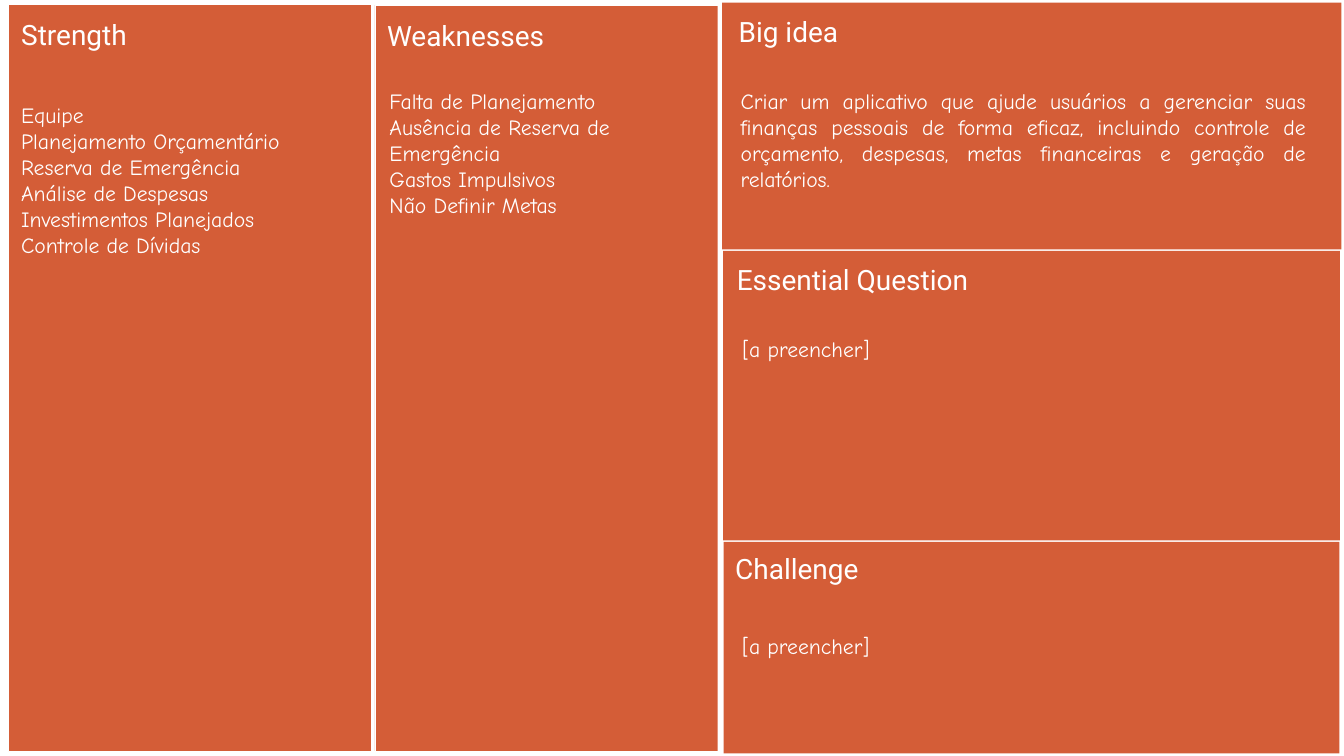
from dataclasses import dataclass
from typing import NamedTuple

from pptx import Presentation
from pptx.dml.color import RGBColor
from pptx.enum.shapes import MSO_SHAPE as Shape
from pptx.enum.text import MSO_ANCHOR as Anchor, PP_ALIGN as Align
from pptx.util import Inches, Pt

SLIDE_W, SLIDE_H = Inches(26.67), Inches(15)


@dataclass(frozen=True)
class Theme:
    panel = RGBColor(0xD4, 0x5D, 0x37)
    light = RGBColor(0xFF, 0xFF, 0xFF)
    inset = Inches(0.03)
    edge = Pt(0.25)
    heading = {"name": "Roboto", "size": Pt(40)}
    body = {"name": "Comic Neue", "size": Pt(31)}


THEME = Theme()


class Box(NamedTuple):
    """A rectangle in percent of the slide's width and height."""
    x: float
    y: float
    w: float
    h: float

    def inside(self, part):
        return Box(self.x + part.x, self.y + part.y, part.w, part.h)

    def emu(self):
        return [round(share * side / 100)
                for share, side in zip(self, (SLIDE_W, SLIDE_H) * 2)]


@dataclass(frozen=True)
class Panel:
    """Content of one panel; heading and body boxes are offsets from its corner."""
    title: str
    lines: list
    box: Box
    heading_box: Box
    body_box: Box
    align: Align = Align.LEFT
    outlined: bool = False


PANELS = [
    Panel("Strength",
          ["Equipe", "Planejamento Orçamentário", "Reserva de Emergência",
           "Análise de Despesas", "Investimentos Planejados", "Controle de Dívidas"],
          Box(0.6, 0.53, 27, 98.87), Box(0.67, 1.6, 8.47, 4.8),
          Box(0.86, 12.73, 23.51, 21.27), outlined=True),
    Panel("Weaknesses",
          ["Falta de Planejamento", "Ausência de Reserva de Emergência",
           "Gastos Impulsivos", "Não Definir Metas"],
          Box(27.9, 0.67, 25.5, 98.67), Box(0.56, 1.6, 12.37, 4.8),
          Box(0.97, 10.73, 20.25, 21.27), outlined=True),
    Panel("Big idea",
          ["Criar um aplicativo que ajude usuários a gerenciar suas finanças "
           "pessoais de forma eficaz, incluindo controle de orçamento, despesas, "
           "metas financeiras e geração de relatórios."],
          Box(53.73, 0.33, 46.08, 32.67), Box(0.86, 1.47, 8.14, 4.8),
          Box(1.27, 11.07, 42.26, 14.33), align=Align.JUSTIFY),
    Panel("Essential Question", ["[a preencher]"],
          Box(53.81, 33.2, 45.89, 38.27), Box(0.52, 1.33, 18.19, 4.8),
          Box(1.31, 11, 40.87, 4.33)),
    Panel("Challenge", ["[a preencher]"],
          Box(53.84, 71.67, 45.82, 28), Box(0.52, 1.13, 9.86, 4.8),
          Box(1.27, 11.8, 40.87, 4.33)),
]


def set_attrs(obj, values):
    for name, value in values.items():
        setattr(obj, name, value)


def add_text(slide, box, lines, font, align, anchor, wrap):
    tf = slide.shapes.add_textbox(*box.emu()).text_frame
    set_attrs(tf, {"word_wrap": wrap, "vertical_anchor": anchor,
                   **{f"margin_{side}": THEME.inset
                      for side in ("left", "right", "top", "bottom")}})
    for i, line in enumerate(lines):
        p = tf.add_paragraph() if i else tf.paragraphs[0]
        p.alignment = align
        r = p.add_run()
        r.text = line
        set_attrs(r.font, font)
        r.font.color.rgb = THEME.light


def add_panel(slide, panel):
    sp = slide.shapes.add_shape(Shape.RECTANGLE, *panel.box.emu())
    sp.shadow.inherit = False
    sp.fill.solid()
    sp.fill.fore_color.rgb = THEME.panel
    if panel.outlined:
        sp.line.color.rgb = THEME.light
        sp.line.width = THEME.edge
    else:
        sp.line.fill.background()
    add_text(slide, panel.box.inside(panel.heading_box), [panel.title],
             THEME.heading, Align.CENTER, Anchor.MIDDLE, False)
    add_text(slide, panel.box.inside(panel.body_box), panel.lines,
             THEME.body, panel.align, Anchor.TOP, True)


def main():
    prs = Presentation()
    set_attrs(prs, {"slide_width": SLIDE_W, "slide_height": SLIDE_H})
    slide = prs.slides.add_slide(prs.slide_layouts[6])
    for panel in PANELS:
        add_panel(slide, panel)
    prs.save("out.pptx")


if __name__ == "__main__":
    main()
